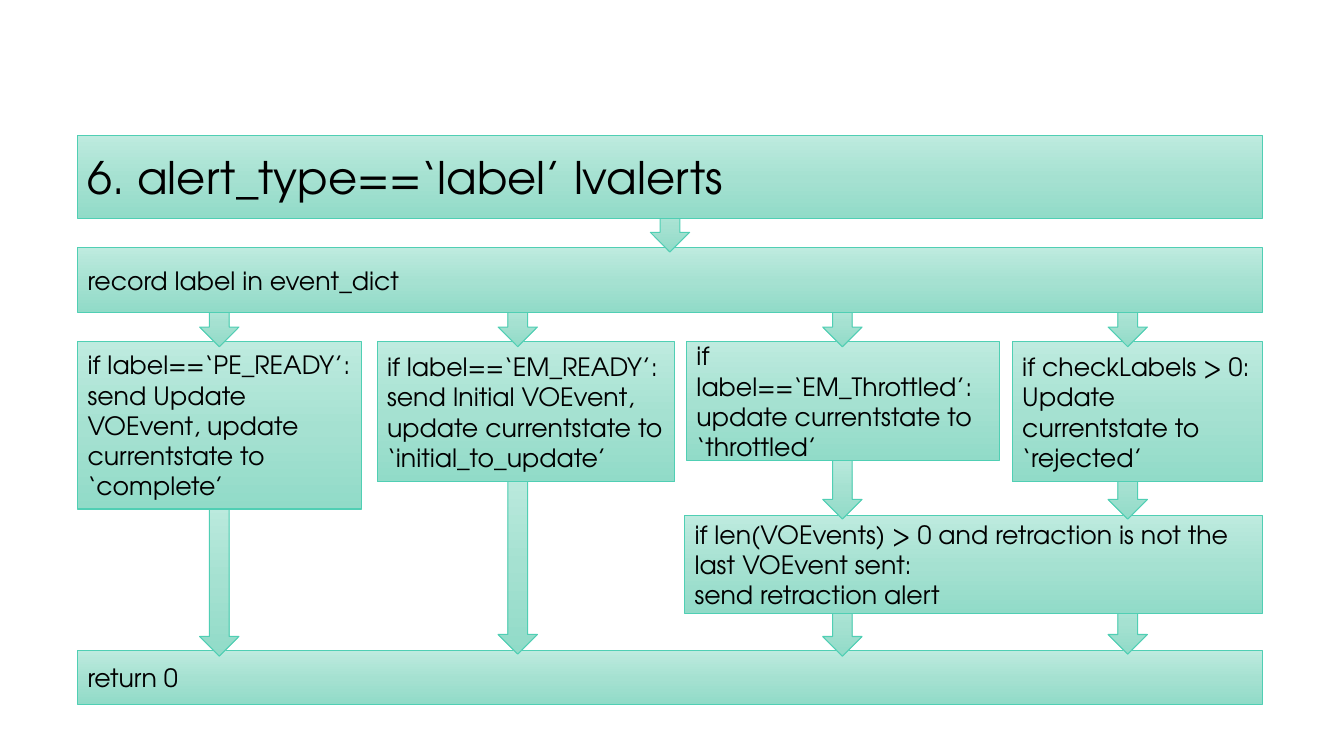
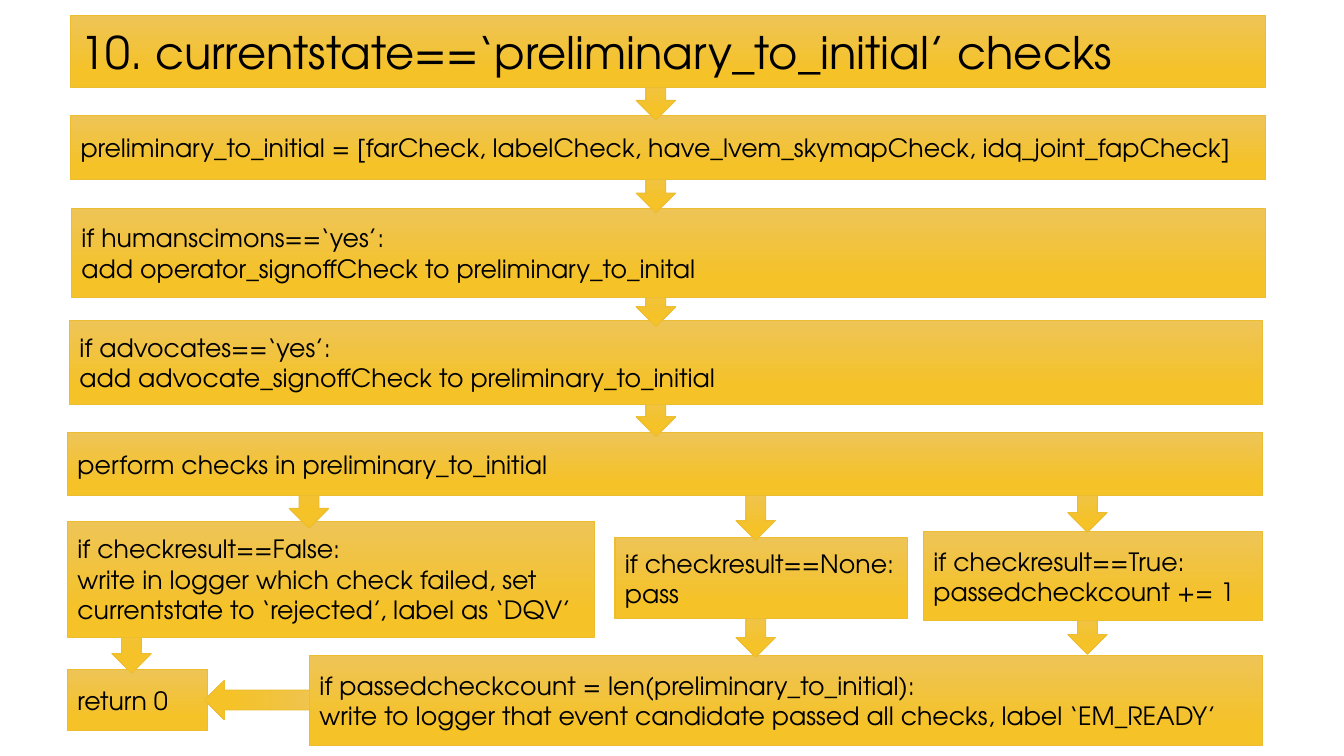
from lxml.etree import SubElement
from pptx import Presentation
from pptx.dml.color import RGBColor
from pptx.enum.shapes import MSO_SHAPE
from pptx.enum.text import MSO_ANCHOR, MSO_AUTO_SIZE, PP_ALIGN
from pptx.oxml.ns import qn
from pptx.util import Emu, Pt

EMU_PER_PX = 9144
TITLE_ONLY = 5
ARROW_WIDTH = 39
TEAL = {"stops": [(0, "BEEBDF"), (52, "A5E1D1"), (100, "91DBC8")], "line": "50CFB4"}
GOLD = {"stops": [(0, "EEC457"), (78, "F5C228")], "line": "ECBD31"}
FRAME_FORMAT = {
    "word_wrap": True,
    "auto_size": MSO_AUTO_SIZE.NONE,
    "vertical_anchor": MSO_ANCHOR.MIDDLE,
}
PARA_FORMAT = {
    "alignment": PP_ALIGN.LEFT,
    "line_spacing": 1.0,
    "space_before": Pt(0),
    "space_after": Pt(0),
}


def px(length):
    return Emu(length * EMU_PER_PX)


def color(hex_code):
    return RGBColor.from_string(hex_code)


def assign(target, values):
    for name, value in values.items():
        setattr(target, name, value)


class FlowChart:
    def __init__(self, deck, theme):
        self.theme = theme
        self.page = deck.slides.add_slide(deck.slide_layouts[TITLE_ONLY])

    def paint(self, shape):
        shape.shadow.inherit = False
        shape.fill.gradient()
        shape.fill.gradient_angle = 270
        stop_list = shape.element.spPr.find(qn("a:gradFill")).find(qn("a:gsLst"))
        for stop in list(stop_list):
            stop_list.remove(stop)
        for percent, hex_code in self.theme["stops"]:
            stop = SubElement(stop_list, qn("a:gs"), pos=str(percent * 1000))
            SubElement(stop, qn("a:srgbClr"), val=hex_code)
        shape.line.color.rgb = color(self.theme["line"])
        shape.line.width = Pt(0.75)

    def label(self, shape, text, size):
        frame = shape.text_frame
        frame.text = text
        assign(frame, FRAME_FORMAT)
        for para in frame.paragraphs:
            assign(para, PARA_FORMAT)
            for span in para.runs:
                assign(span.font, {"name": "TeX Gyre Adventor", "size": Pt(size)})
                span.font.color.rgb = color("000000")

    def add(self, kind, left, top, width, height):
        shape = self.page.shapes.add_shape(kind, px(left), px(top), px(width), px(height))
        self.paint(shape)
        return shape

    def box(self, left, top, width, height, text):
        box = self.add(MSO_SHAPE.FLOWCHART_PROCESS, left, top, width, height)
        self.label(box, text, 18)

    def arrow(self, left, top, height, rotation=0):
        arrow = self.add(MSO_SHAPE.DOWN_ARROW, left, top, ARROW_WIDTH, height)
        arrow.rotation = rotation

    def title(self, left, top, width, height, text):
        title = self.page.shapes.title
        bounds = {"left": left, "top": top, "width": width, "height": height}
        assign(title, {name: px(length) for name, length in bounds.items()})
        self.paint(title)
        self.label(title, text, 32)
        title.element.getparent().append(title.element)


def label_alerts(deck):
    chart = FlowChart(deck, TEAL)
    left, width, case_top = 77, 1175, 339
    ready, initial, throttled, rejected = 198, 494, 816, 1099

    chart.box(left, 645, width, 54, "return 0")
    chart.arrow(ready, 495, 156)
    chart.arrow(initial, 463, 186)
    chart.arrow(rejected, 585, 64)
    chart.arrow(throttled, 587, 64)
    chart.box(679, 511, 573, 98,
              "if len(VOEvents) > 0 and retraction is not the last VOEvent sent:\n"
              "send retraction alert")
    for column in (rejected, throttled):
        chart.arrow(column, 451, 64)
    cases = [
        (1004, 248, 139, "if checkLabels > 0:\nUpdate currentstate to ‘rejected’"),
        (681, 310, 118, "if label==‘EM_Throttled’:\nupdate currentstate to ‘throttled’"),
        (374, 295, 139, "if label==‘EM_READY’:\nsend Initial VOEvent, "
                        "update currentstate to ‘initial_to_update’"),
        (left, 282, 166, "if label==‘PE_READY’:\nsend Update VOEvent, "
                         "update currentstate to ‘complete’"),
    ]
    for case_left, case_width, height, text in cases:
        chart.box(case_left, case_top, case_width, height, text)
    for column in (ready, initial, throttled, rejected):
        chart.arrow(column, 296, 48)
    chart.box(left, 246, width, 64, "record label in event_dict")
    chart.arrow(645, 198, 52)
    chart.title(left, 134, width, 83, "6. alert_type==‘label’ lvalerts")


def preliminary_checks(deck):
    chart = FlowChart(deck, GOLD)
    failed, pending, passed = 287, 730, 1059

    chart.box(67, 664, 139, 61, "return 0")
    chart.arrow(245, 633, 123, rotation=90)
    chart.box(307, 650, 945, 90,
              "if passedcheckcount = len(preliminary_to_initial):\n"
              "write to logger that event candidate passed all checks, label ‘EM_READY’")
    chart.arrow(passed, 597, 52)
    chart.arrow(pending, 600, 52)
    chart.box(610, 533, 290, 81, "if checkresult==None:\npass")
    chart.box(916, 527, 336, 89, "if checkresult==True:\npassedcheckcount += 1")
    chart.arrow(passed, 476, 52)
    chart.arrow(pending, 484, 52)
    chart.arrow(111, 588, 80)
    chart.box(67, 517, 523, 115,
              "if checkresult==False:\nwrite in logger which check failed, "
              "set currentstate to ‘rejected’, label as ‘DQV’")
    chart.arrow(failed, 444, 80)
    steps = [
        (67, 429, 1185, 63, 381, "perform checks in preliminary_to_initial"),
        (69, 318, 1183, 83, 272, "if advocates==‘yes’:\n"
                                 "add advocate_signoffCheck to preliminary_to_initial"),
        (71, 207, 1184, 88, 159, "if humanscimons==‘yes’:\n"
                                 "add operator_signoffCheck to preliminary_to_inital"),
        (70, 115, 1185, 63, 67, "preliminary_to_initial = [farCheck, labelCheck, "
                                "have_lvem_skymapCheck, idq_joint_fapCheck]"),
    ]
    for left, top, width, height, arrow_top, text in steps:
        chart.box(left, top, width, height, text)
        chart.arrow(631, arrow_top, 52)
    chart.title(70, 15, 1185, 72, "10. currentstate==‘preliminary_to_initial’ checks")


def main():
    deck = Presentation()
    assign(deck, {"slide_width": px(1333), "slide_height": px(750)})
    label_alerts(deck)
    preliminary_checks(deck)
    deck.save("out.pptx")


if __name__ == "__main__":
    main()
